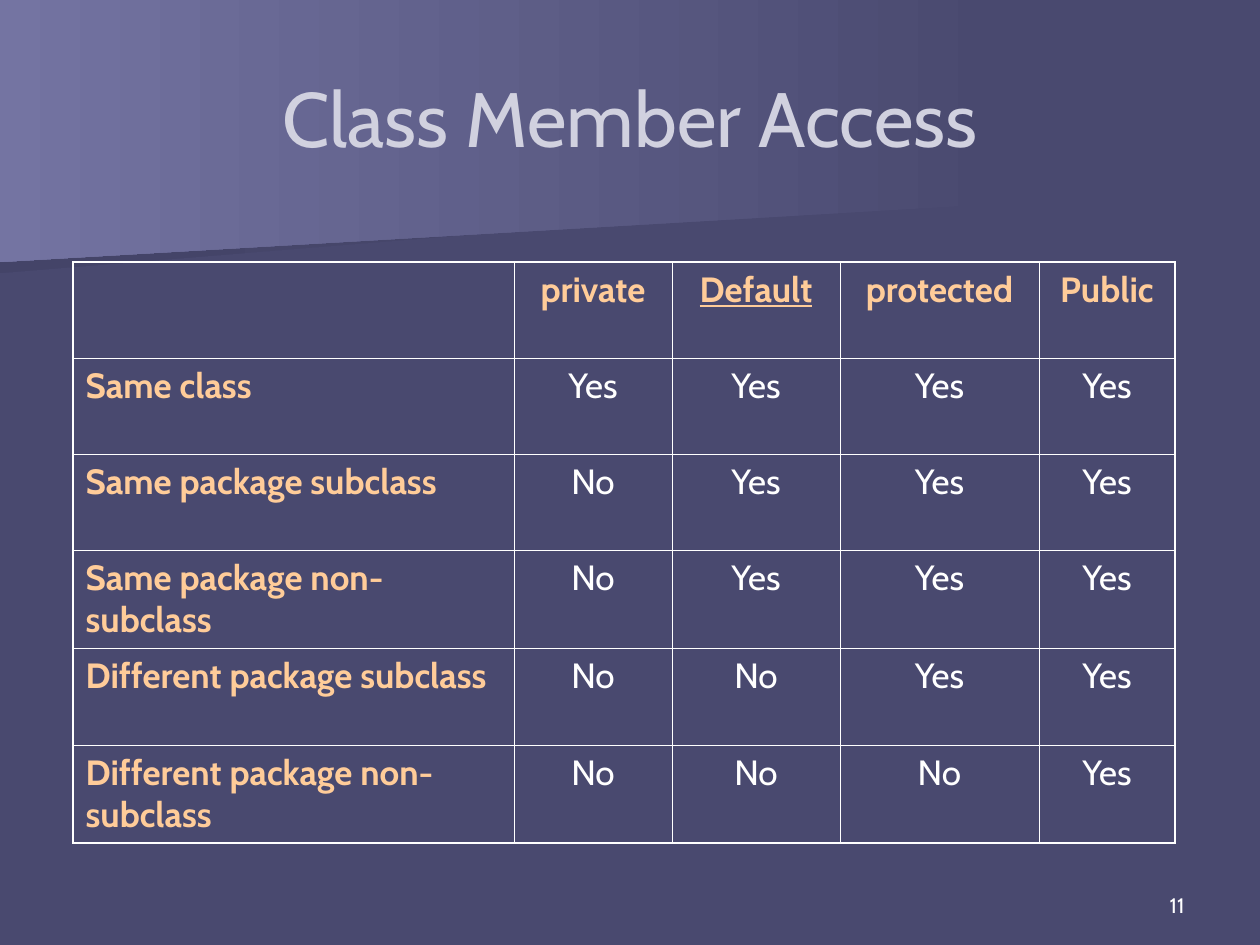
"""Build the Class Member Access slide."""
import pptx
import pptx.dml.color
import pptx.enum.text
import pptx.oxml
import pptx.oxml.ns
import pptx.util

RGBColor = pptx.dml.color.RGBColor
Align = pptx.enum.text.PP_ALIGN
Anchor = pptx.enum.text.MSO_ANCHOR
NAVY = RGBColor(0x49, 0x49, 0x6F)
SHADE = RGBColor(0x44, 0x44, 0x68)
LILAC = RGBColor(0x74, 0x74, 0xA2)
PALE = RGBColor(0xD1, 0xD1, 0xDF)
PEACH = RGBColor(0xFF, 0xCC, 0x99)
WHITE = RGBColor(0xFF, 0xFF, 0xFF)
SCALE = 914400 / 126
THICK, THIN = 1.08, 0.45


def px(length):
    return pptx.util.Emu(round(length * SCALE))


def write(frame, text, align, color, size, **formats):
    para = frame.paragraphs[0]
    para.alignment = align
    span = para.add_run()
    span.text = text
    span.font.color.rgb = color
    formats.update(name="Cabin", size=pptx.util.Pt(size))
    for name, value in formats.items():
        setattr(span.font, name, value)


deck = pptx.Presentation()
deck.slide_width, deck.slide_height = px(1260), px(945)
page = deck.slides.add_slide(deck.slide_layouts[5])
page.background.fill.solid()
page.background.fill.fore_color.rgb = NAVY

bands = [
    (SHADE, [(980, 193), (0, 273), (0, 127), (981, 127), (980, 161)]),
    (LILAC, [(998, 204), (0, 262), (0, 0), (998, 0)]),
]
for color, points in bands:
    builder = page.shapes.build_freeform(*points[0], scale=SCALE)
    builder.add_line_segments(points[1:], close=True)
    band = builder.convert_to_shape()
    band.shadow.inherit = False
    band.line.fill.background()
    band.fill.gradient()
    band.fill.gradient_angle = 180
    for stop, shade in zip(band.fill.gradient_stops, (NAVY, color)):
        stop.color.rgb = shade

title = page.shapes.title
title.left, title.top, title.width, title.height = px(63), px(38), px(1134), px(158)
title.text_frame.vertical_anchor = Anchor.MIDDLE
write(title.text_frame, "Class Member Access", Align.CENTER, PALE, 44)
page.shapes._spTree.append(title._element)

rows = [
    ["", "private", "Default", "protected", "Public"],
    ["Same class", "Yes", "Yes", "Yes", "Yes"],
    ["Same package subclass", "No", "Yes", "Yes", "Yes"],
    ["Same package non-subclass", "No", "Yes", "Yes", "Yes"],
    ["Different package subclass", "No", "No", "Yes", "Yes"],
    ["Different package non-subclass", "No", "No", "No", "Yes"],
]
widths = [441, 158, 168, 199, 136]
heights = [96, 96, 96, 97, 97, 97]
last_row, last_column = len(rows) - 1, len(widths) - 1
table = page.shapes.add_table(
    len(rows), len(widths), px(73), px(262), px(sum(widths)), px(sum(heights))
).table
table.first_row = table.horz_banding = False
for column, width in zip(table.columns, widths):
    column.width = px(width)

for r, labels in enumerate(rows):
    table.rows[r].height = px(heights[r])
    for c, label in enumerate(labels):
        cell = table.cell(r, c)
        heading = r == 0 or c == 0
        edges = {"L": c == 0, "R": c == last_column, "T": r == 0, "B": r == last_row}
        for side, outer in edges.items():
            weight = pptx.util.Pt(THICK if outer else THIN)
            cell._tc.get_or_add_tcPr().append(pptx.oxml.parse_xml(
                f'<a:ln{side} {pptx.oxml.ns.nsdecls("a")} w="{weight}"><a:solidFill>'
                f'<a:srgbClr val="{WHITE}"/></a:solidFill></a:ln{side}>'
            ))
        cell.fill.background()
        if label:
            write(
                cell.text_frame, label, Align.CENTER if c else Align.LEFT,
                PEACH if heading else WHITE, 20,
                bold=heading, underline=label == "Default",
            )

number = page.shapes.add_textbox(px(903), px(861), px(294), px(63))
number.text_frame.word_wrap = True
number.text_frame.vertical_anchor = Anchor.BOTTOM
write(number.text_frame, "11", Align.RIGHT, WHITE, 12)

deck.save("out.pptx")
